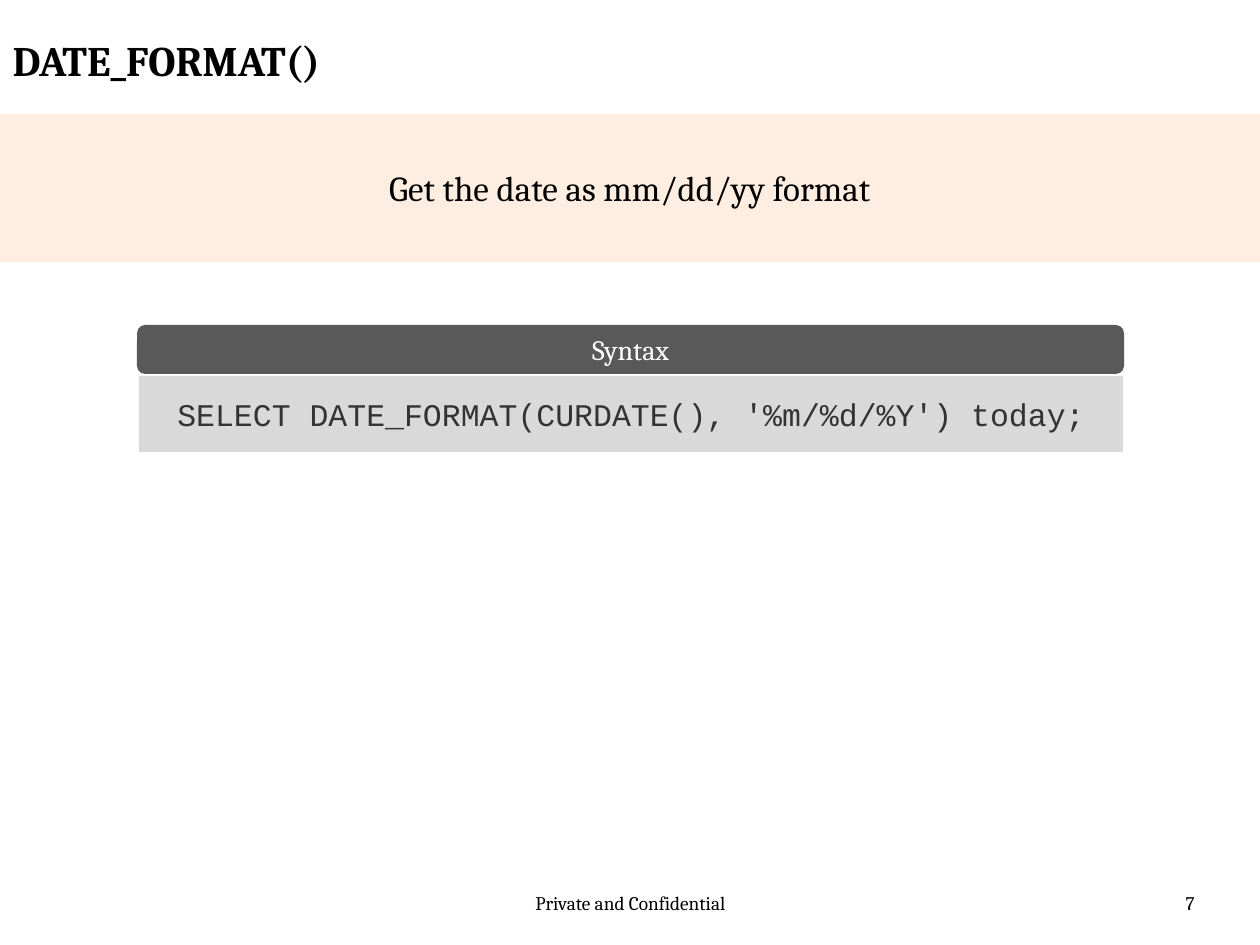
from pptx import Presentation
from pptx.dml.color import RGBColor
from pptx.enum.shapes import MSO_SHAPE as SHAPE
from pptx.enum.text import MSO_ANCHOR as ANCHOR, MSO_AUTO_SIZE as AUTO, PP_ALIGN as ALIGN
from pptx.oxml.ns import qn
from pptx.util import Pt
from lxml import etree

SCALE = 914400 / 126  # EMU in one px
COLORS = {
    "text": "000000",
    "banner": "FDEADA",
    "header": "595959",
    "header_text": "FFFFFF",
    "code": "D9D9D9",
    "code_text": "333333",
}


def px(n):
    return round(n * SCALE)


def rgb(name):
    return RGBColor.from_string(COLORS[name])


def write(sp, text, *, size, color="text", font="Cambria", bold=False,
          align=ALIGN.CENTER, anchor=ANCHOR.MIDDLE):
    tf = sp.text_frame
    tf.word_wrap = True
    tf.auto_size = AUTO.NONE
    tf.vertical_anchor = anchor
    p = tf.paragraphs[0]
    p.alignment = align
    r = p.add_run()
    r.text = text
    r.font.name = font
    r.font.size = Pt(size)
    r.font.bold = bold
    r.font.color.rgb = rgb(color)


def add_title(s, text, x, y, w, h):
    sp = s.shapes.title
    sp.left, sp.top, sp.width, sp.height = map(px, (x, y, w, h))
    write(sp, text, size=24, bold=True, align=ALIGN.LEFT, anchor=ANCHOR.TOP)


def add_label(s, text, x, y, w, h, align):
    sp = s.shapes.add_textbox(*map(px, (x, y, w, h)))
    write(sp, text, size=11, align=align, anchor=ANCHOR.TOP)


def add_panel(shapes, kind, fill, x, y, w, h, opacity=100):
    sp = shapes.add_shape(kind, *map(px, (x, y, w, h)))
    sp.shadow.inherit = False
    sp.fill.solid()
    sp.fill.fore_color.rgb = rgb(fill)
    sp.line.fill.background()
    if opacity < 100:
        clr = sp._element.spPr.find(".//" + qn("a:srgbClr"))
        etree.SubElement(clr, qn("a:alpha")).set("val", str(opacity * 1000))
    return sp


def main():
    prs = Presentation()
    prs.slide_width, prs.slide_height = px(1260), px(945)
    s = prs.slides.add_slide(prs.slide_layouts[5])

    # Footer and page number
    add_label(s, "Private and Confidential", 431, 885, 399, 50, ALIGN.CENTER)
    add_label(s, "7", 914, 885, 293, 50, ALIGN.RIGHT)

    # Title and task banner
    add_title(s, "DATE_FORMAT()", 0, 28, 956, 78)
    banner = add_panel(s.shapes, SHAPE.RECTANGLE, "banner", 0, 114, 1260, 148, opacity=79)
    write(banner, "Get the date as mm/dd/yy format", size=20)

    # Syntax box: header over code
    box = s.shapes.add_group_shape().shapes
    header = add_panel(box, SHAPE.ROUNDED_RECTANGLE, "header", 137, 325, 987, 49)
    write(header, "Syntax", size=16, color="header_text")
    code = add_panel(box, SHAPE.ROUNDED_RECTANGLE, "code", 139, 376, 984, 76)
    code.adjustments[0] = 0
    write(code, "SELECT DATE_FORMAT(CURDATE(), '%m/%d/%Y') today;",
          size=18, color="code_text", font="Courier New")

    prs.save("out.pptx")


if __name__ == "__main__":
    main()
